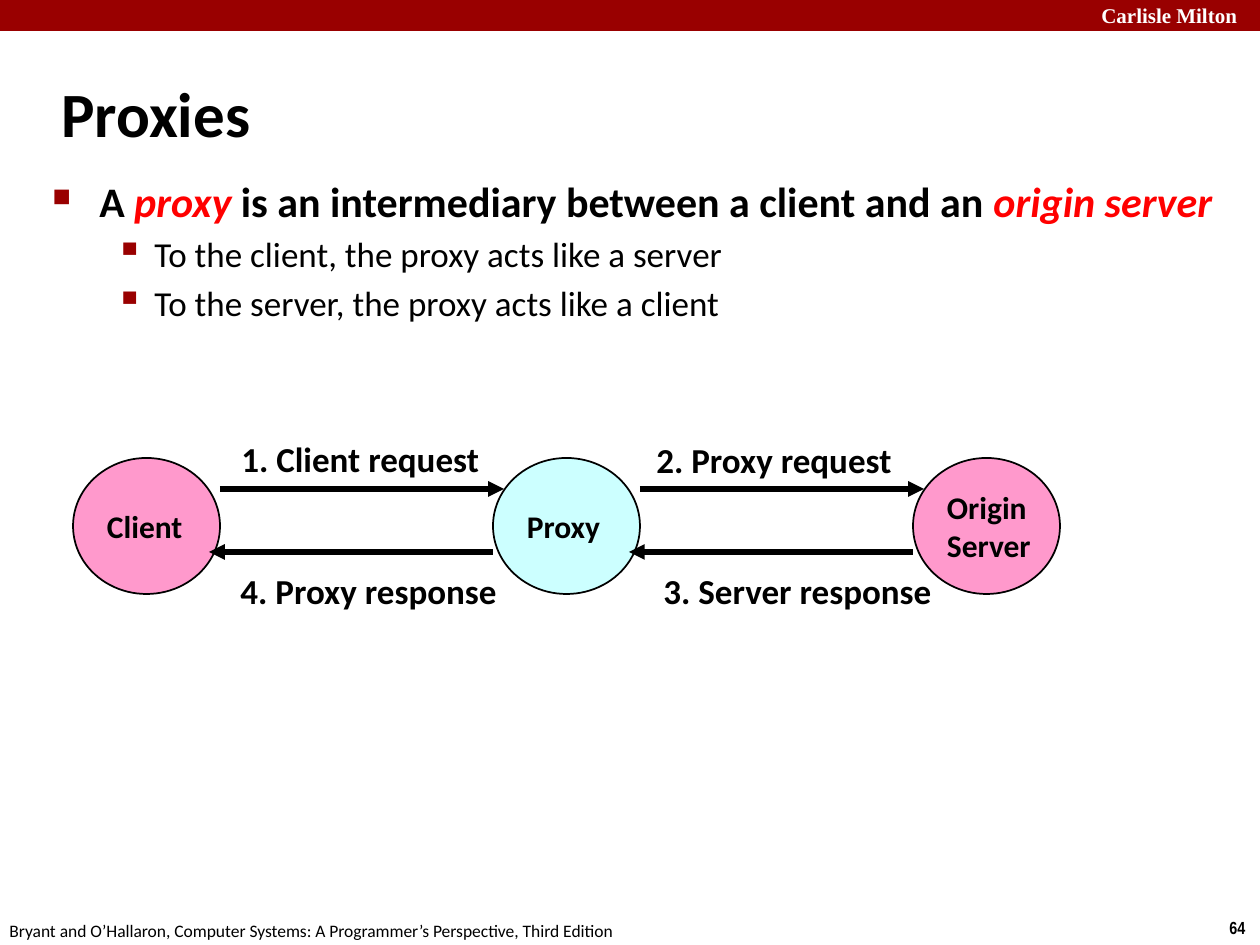
from lxml import etree
from pptx import Presentation, util as u
from pptx.dml.color import RGBColor
from pptx.enum import shapes, text
from pptx.oxml import ns

SCALE = 914400 // 126  # EMU per pixel
BLACK, WHITE, CRIMSON, RED = "000000", "FFFFFF", "990000", "FF0000"
PINK, CYAN = "FF99CC", "CCFFFF"

BAND = (0, 0, 1260, 31)
# text, (left, top, width, height), format
LABELS = [
    ("Carlisle Milton", (1089, -4, 180, 38),
     dict(size=12, font="Times New Roman", color=WHITE, bold=True, wrap=True)),
    ("64", (1217, 911, 43, 34), dict(size=10, font="Arial Narrow", bold=True)),
    ("Bryant and O’Hallaron, Computer Systems: A Programmer’s Perspective, "
     "Third Edition", (-3, 914, 640, 34), dict(size=10)),
    ("Proxies", (49, 60, 1046, 105),
     dict(size=36, bold=True, wrap=True, anchor=text.MSO_ANCHOR.MIDDLE)),
    ("1. Client request", (229, 431, 266, 55), dict(size=20, bold=True)),
    ("2. Proxy request", (644, 432, 265, 55), dict(size=20, bold=True)),
    ("3. Server response", (651, 563, 296, 55), dict(size=20, bold=True)),
    ("4. Proxy response", (228, 563, 286, 55), dict(size=20, bold=True)),
]

BODY = (40, 169, 1200, 546)
# level, [(text, emphasised)]
POINTS = [
    (0, [("A ", False), ("proxy ", True),
         ("is an intermediary between a client and an ", False),
         ("origin server", True)]),
    (1, [("To the client, the proxy acts like a server", False)]),
    (1, [("To the server, the proxy acts like a client", False)]),
]
# size, bold, left margin, hanging indent, bullet, bullet size, space before
LEVELS = [(24, True, 47, 47, "■", 60, 0), (20, False, 102, 39, "▪", 110, 4)]

NODES = [("Client", PINK), ("Proxy", CYAN), ("Origin\nServer", PINK)]
NODE_LEFT, NODE_TOP, NODE_WIDTH, NODE_HEIGHT, NODE_STEP = 73, 458, 147, 136, 420
REQUEST_Y, RESPONSE_Y, ARROW_LENGTH = 489, 552, 284


def px(value):
    """Turn pixels into EMU."""
    return u.Emu(round(value * SCALE))


def rgb(color):
    """Turn a hex string into a colour."""
    return RGBColor.from_string(color)


def add_span(para, words, size, font="Calibri", color=BLACK, bold=False, italic=False):
    """Append one formatted run to a paragraph."""
    span = para.add_run()
    span.text = words
    span.font.size, span.font.name = u.Pt(size), font
    span.font.bold, span.font.italic = bold, italic
    span.font.color.rgb = rgb(color)


def write(box, words, wrap=False, anchor=text.MSO_ANCHOR.TOP, **style):
    """Fill a shape with left-aligned text, one paragraph per line."""
    frame = box.text_frame
    frame.word_wrap, frame.vertical_anchor = wrap, anchor
    for index, line in enumerate(words.split("\n")):
        para = frame.add_paragraph() if index else frame.paragraphs[0]
        para.alignment = text.PP_ALIGN.LEFT
        add_span(para, line, **style)


def add_filled(page, kind, area, fill, outlined=False):
    """Add a preset shape with a solid fill and an optional black outline."""
    shape = page.shapes.add_shape(kind, *map(px, area))
    shape.shadow.inherit = False
    shape.fill.solid()
    shape.fill.fore_color.rgb = rgb(fill)
    if outlined:
        shape.line.color.rgb, shape.line.width = rgb(BLACK), u.Pt(1)
    else:
        shape.line.fill.background()
    return shape


def add_arrow(page, start, end, y):
    """Draw a horizontal arrow whose head is at the end."""
    arrow = page.shapes.add_connector(
        shapes.MSO_CONNECTOR.STRAIGHT, px(start), px(y), px(end), px(y))
    arrow.line.color.rgb, arrow.line.width = rgb(BLACK), u.Pt(3)
    etree.SubElement(arrow.line._get_or_add_ln(), ns.qn("a:tailEnd"), type="triangle")
    etree.SubElement(arrow._element.spPr, ns.qn("a:effectLst"))


def set_bullet(para, margin, indent, char, percent):
    """Give a paragraph a hanging crimson bullet."""
    props = para._p.get_or_add_pPr()
    props.set("marL", str(px(margin)))
    props.set("indent", str(px(-indent)))
    color = etree.SubElement(props, ns.qn("a:buClr"))
    etree.SubElement(color, ns.qn("a:srgbClr"), val=CRIMSON)
    etree.SubElement(props, ns.qn("a:buSzPct"), val=str(percent * 1000))
    etree.SubElement(props, ns.qn("a:buChar"), char=char)


def add_points(page):
    """Add the bulleted list."""
    frame = page.shapes.add_textbox(*map(px, BODY)).text_frame
    frame.word_wrap = True
    for index, (level, spans) in enumerate(POINTS):
        size, bold, margin, indent, char, percent, before = LEVELS[level]
        para = frame.add_paragraph() if index else frame.paragraphs[0]
        para.level, para.space_before = level, u.Pt(before)
        set_bullet(para, margin, indent, char, percent)
        for words, strong in spans:
            add_span(para, words, size, bold=bold, italic=strong,
                     color=RED if strong else BLACK)


def add_diagram(page):
    """Add the nodes and the request and response arrows between them."""
    for index, (name, fill) in enumerate(NODES):
        left = NODE_LEFT + index * NODE_STEP
        node = add_filled(page, shapes.MSO_SHAPE.OVAL,
                          (left, NODE_TOP, NODE_WIDTH, NODE_HEIGHT), fill, outlined=True)
        write(node, name, anchor=text.MSO_ANCHOR.MIDDLE, size=18, bold=True)
    for index in range(len(NODES) - 1):
        left = NODE_LEFT + index * NODE_STEP
        right = left + NODE_STEP
        start = left + NODE_WIDTH
        add_arrow(page, start, start + ARROW_LENGTH, REQUEST_Y)
        add_arrow(page, right, right - ARROW_LENGTH, RESPONSE_Y)


def main():
    """Build and save the slide."""
    deck = Presentation()
    deck.slide_width, deck.slide_height = px(1260), px(945)
    page = deck.slides.add_slide(deck.slide_layouts[6])
    add_filled(page, shapes.MSO_SHAPE.RECTANGLE, BAND, CRIMSON)
    add_points(page)
    add_diagram(page)
    for words, area, style in LABELS:
        write(page.shapes.add_textbox(*map(px, area)), words, **style)
    deck.save("out.pptx")


main()
